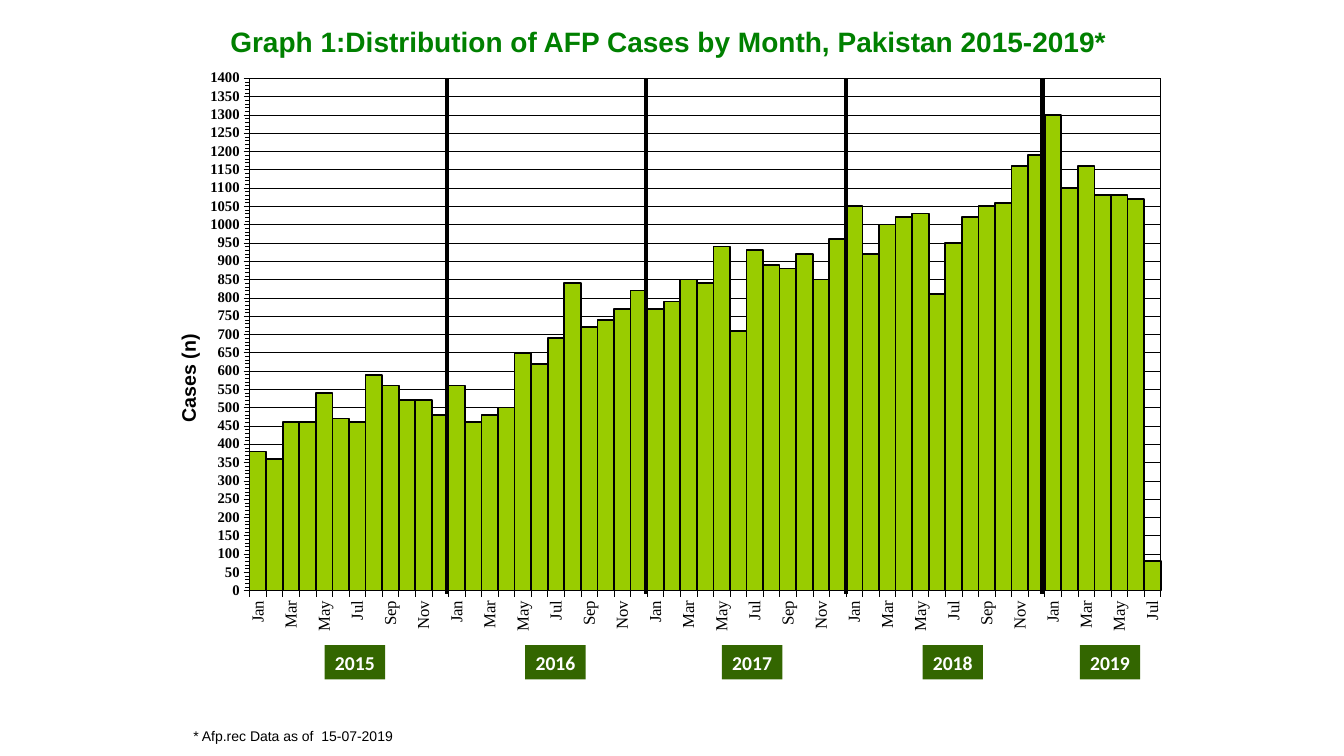
"""Build a slide with a monthly column chart of AFP cases, 2015 to 2019."""
from lxml import etree
from pptx import Presentation
from pptx.chart.data import CategoryChartData as Data
from pptx.dml.color import RGBColor as Rgb
from pptx.enum.chart import XL_CHART_TYPE as Kind, XL_TICK_MARK as Tick
from pptx.enum.shapes import MSO_CONNECTOR as Link, MSO_SHAPE as Form
from pptx.enum.text import MSO_ANCHOR as Anchor, PP_ALIGN as Align
from pptx.oxml import parse_xml
from pptx.oxml.ns import nsdecls, qn
from pptx.util import Inches, Pt

HUES = {"ink": "000000", "title": "008000", "bar": "99CC00",
        "tag": "336600", "white": "FFFFFF"}
MONTHS = "Jan Feb Mar Apr May Jun Jul Aug Sep Oct Nov Dec".split()
CASES = {
    2015: [380, 360, 460, 460, 540, 470, 460, 590, 560, 520, 520, 480],
    2016: [560, 460, 480, 500, 650, 620, 690, 840, 720, 740, 770, 820],
    2017: [770, 790, 850, 840, 940, 710, 930, 890, 880, 920, 850, 960],
    2018: [1050, 920, 1000, 1020, 1030, 810, 950, 1020, 1050, 1060, 1160, 1190],
    2019: [1300, 1100, 1160, 1080, 1080, 1070, 80],
}
TAGS = {2015: 3.22, 2016: 5.21, 2017: 7.16, 2018: 9.15, 2019: 10.71}


def hue(name):
    return Rgb.from_string(HUES[name])


def write(shape, words, size, face="Arial", color="ink", bold=True,
          align=Align.CENTER, wrap=True):
    frame = shape.text_frame
    frame.word_wrap = wrap
    frame.vertical_anchor = Anchor.MIDDLE
    frame.margin_top = frame.margin_bottom = 0
    para = frame.paragraphs[0]
    para.alignment = align
    run = para.add_run()
    run.text = words
    font = run.font
    font.size, font.name, font.bold = Pt(size), face, bold
    font.color.rgb = hue(color)


deck = Presentation()
deck.slide_width, deck.slide_height = Inches(13.33), Inches(7.5)
slide = deck.slides.add_slide(deck.slide_layouts[6])
shapes = slide.shapes

data = Data()
data.categories = [month for year in CASES.values()
                   for month in MONTHS[:len(year)]]
data.add_series("Series 1", [n for year in CASES.values() for n in year])
chart = shapes.add_chart(Kind.COLUMN_CLUSTERED, Inches(1.99), Inches(0.47),
                         Inches(9.53), Inches(6.01), data).chart
chart.has_legend = chart.has_title = False
chart.font.name = "Times New Roman"
chart.font.color.rgb = hue("ink")

plot = chart.plots[0]
plot.gap_width = 0
plot.vary_by_categories = False
bars = plot.series[0].format
bars.fill.solid()
bars.fill.fore_color.rgb = hue("bar")
bars.line.color.rgb = hue("ink")
bars.line.width = Pt(1.23)

cats, vals = chart.category_axis, chart.value_axis
vals.minimum_scale, vals.maximum_scale = 0, 1400
vals.major_unit, vals.minor_unit = 50, 10
vals.has_major_gridlines = True
vals.minor_tick_mark = Tick.OUTSIDE
for axis, size, bold in ((cats, 12, False), (vals, 10.5, True)):
    axis.major_tick_mark = Tick.OUTSIDE
    font = axis.tick_labels.font
    font.size, font.bold, font.name = Pt(size), bold, "Times New Roman"
    font.color.rgb = hue("ink")
for part in (cats, vals, vals.major_gridlines):
    part.format.line.color.rgb = hue("ink")
    part.format.line.width = Pt(0.31)

node = cats._element
turn = node.find(qn("c:txPr")).find(qn("a:bodyPr"))
turn.set("rot", "-5400000")
turn.set("vert", "horz")
last = node.find(qn("c:noMultiLvlLbl"))
for name, step in (("tickLblSkip", "2"), ("tickMarkSkip", "1")):
    skip = etree.Element(qn(f"c:{name}"), val=step)
    last.addprevious(skip)

area = chart._chartSpace.chart.plotArea
for old in area.findall(qn("c:layout")):
    area.remove(old)
spots = {"x": 0.051, "y": 0.051, "w": 0.949, "h": 0.846}
rules = '<c:layoutTarget val="inner"/><c:xMode val="edge"/><c:yMode val="edge"/>'
rules += "".join(f'<c:{key} val="{n}"/>' for key, n in spots.items())
area.insert(0, parse_xml(
    f'<c:layout {nsdecls("c")}><c:manualLayout>{rules}</c:manualLayout></c:layout>'))
area.append(parse_xml(
    f'<c:spPr {nsdecls("c", "a")}><a:noFill/><a:ln w="12700"><a:solidFill>'
    f'<a:srgbClr val="{HUES["ink"]}"/></a:solidFill></a:ln></c:spPr>'))

title = shapes.add_textbox(Inches(2.02), Inches(0.24), Inches(9.22), Inches(0.34))
write(title, "Graph 1:Distribution of AFP Cases by Month, Pakistan 2015-2019*",
      20, color="title")
label = shapes.add_textbox(Inches(0.78), Inches(3.57), Inches(2.17), Inches(0.37))
label.rotation = 270
write(label, "Cases (n)", 14)
note = shapes.add_textbox(Inches(1.82), Inches(7.17), Inches(2.2), Inches(0.27))
write(note, "* Afp.rec Data as of  15-07-2019", 10, bold=False,
      align=Align.LEFT, wrap=False)

for x in (4.43, 6.41, 8.39, 10.34):
    line = shapes.add_connector(Link.STRAIGHT, Inches(x), Inches(5.89),
                                Inches(x), Inches(0.78))
    line.line.color.rgb = hue("ink")
    line.line.width = Pt(3)
    etree.SubElement(line._element.spPr, qn("a:effectLst"))

for year, x in TAGS.items():
    tag = shapes.add_shape(Form.RECTANGLE, Inches(x), Inches(6.4),
                           Inches(0.6), Inches(0.34))
    tag.shadow.inherit = False
    tag.fill.solid()
    tag.fill.fore_color.rgb = hue("tag")
    tag.line.fill.background()
    write(tag, str(year), 14, face="Calibri", color="white", wrap=False)

deck.save("out.pptx")
